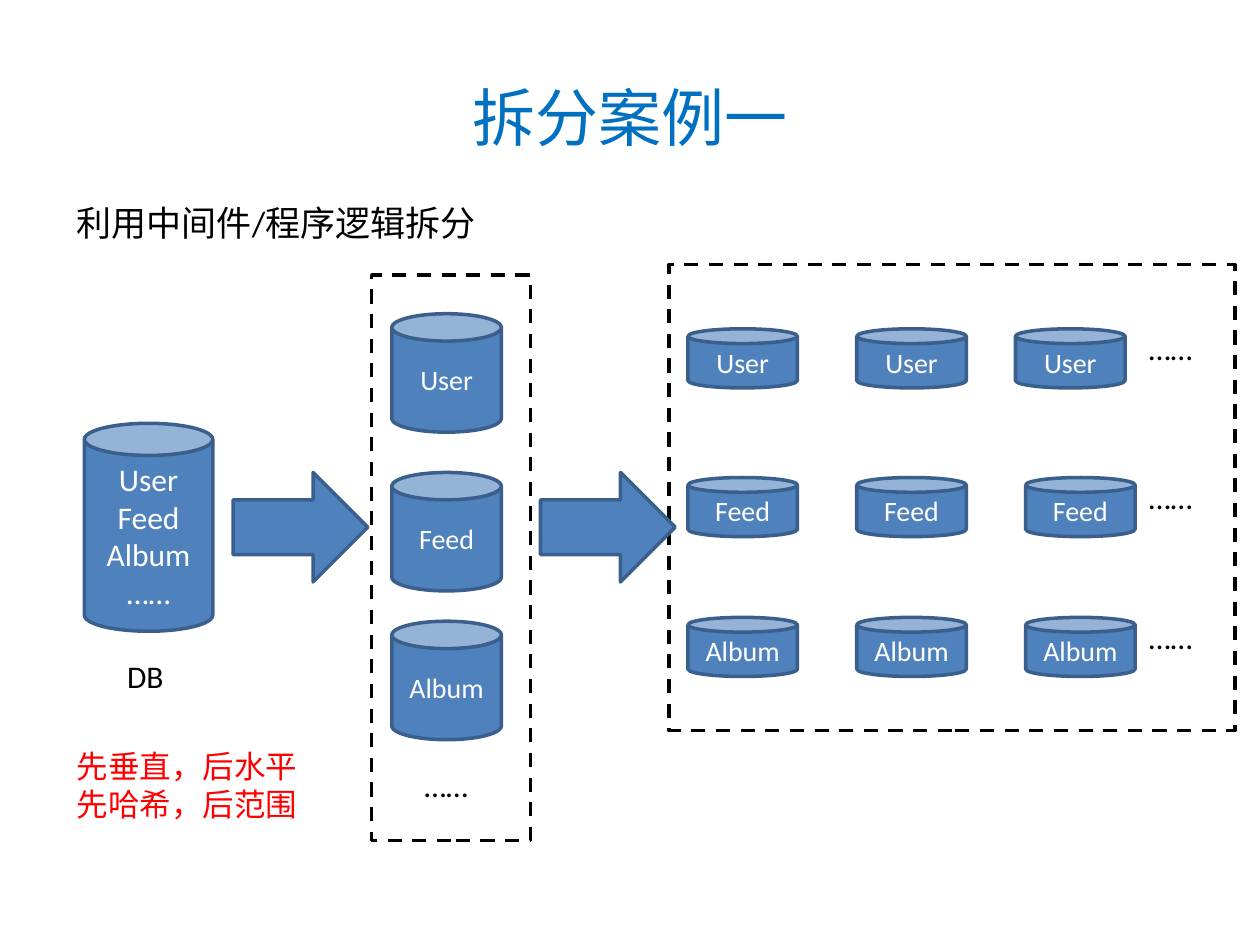
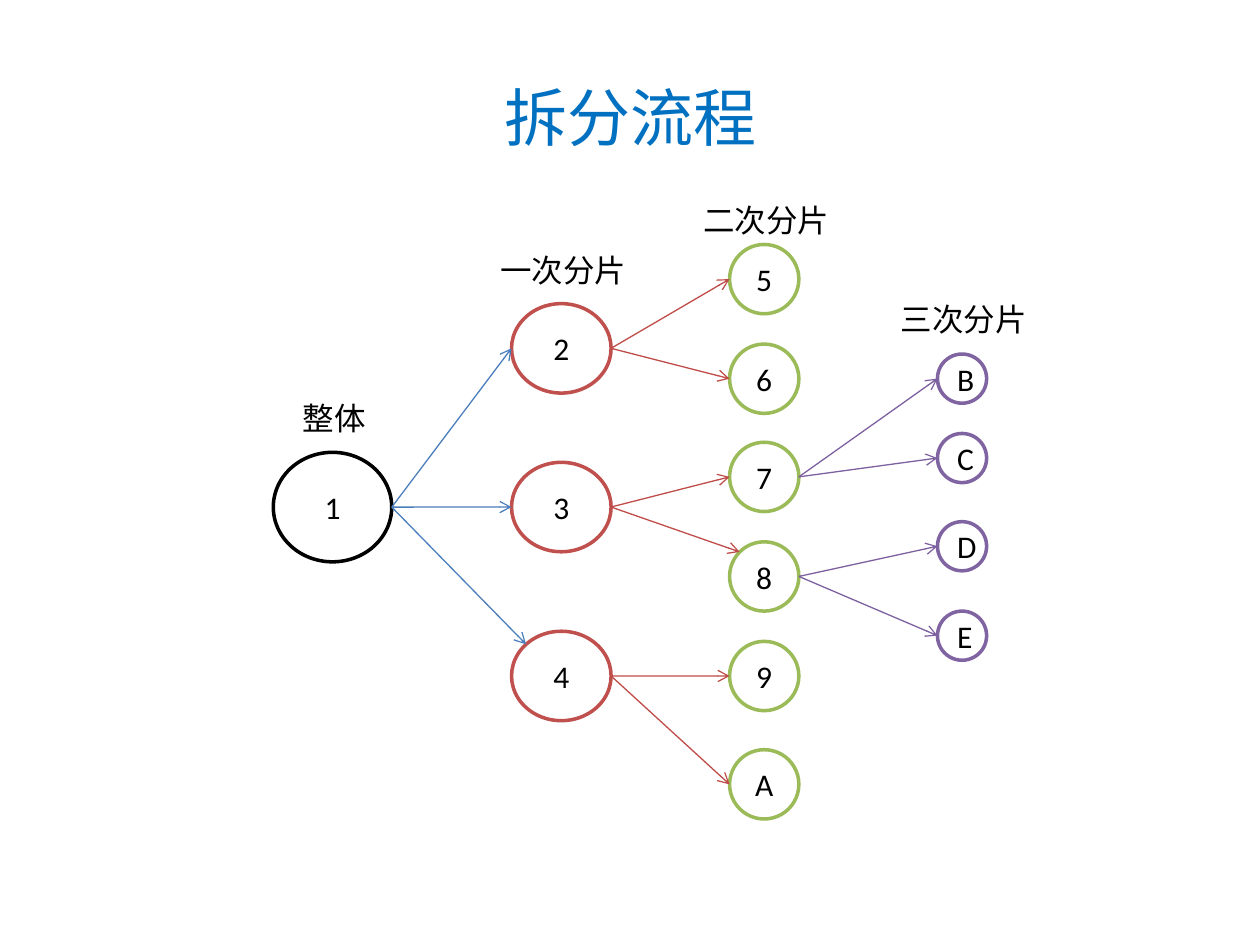
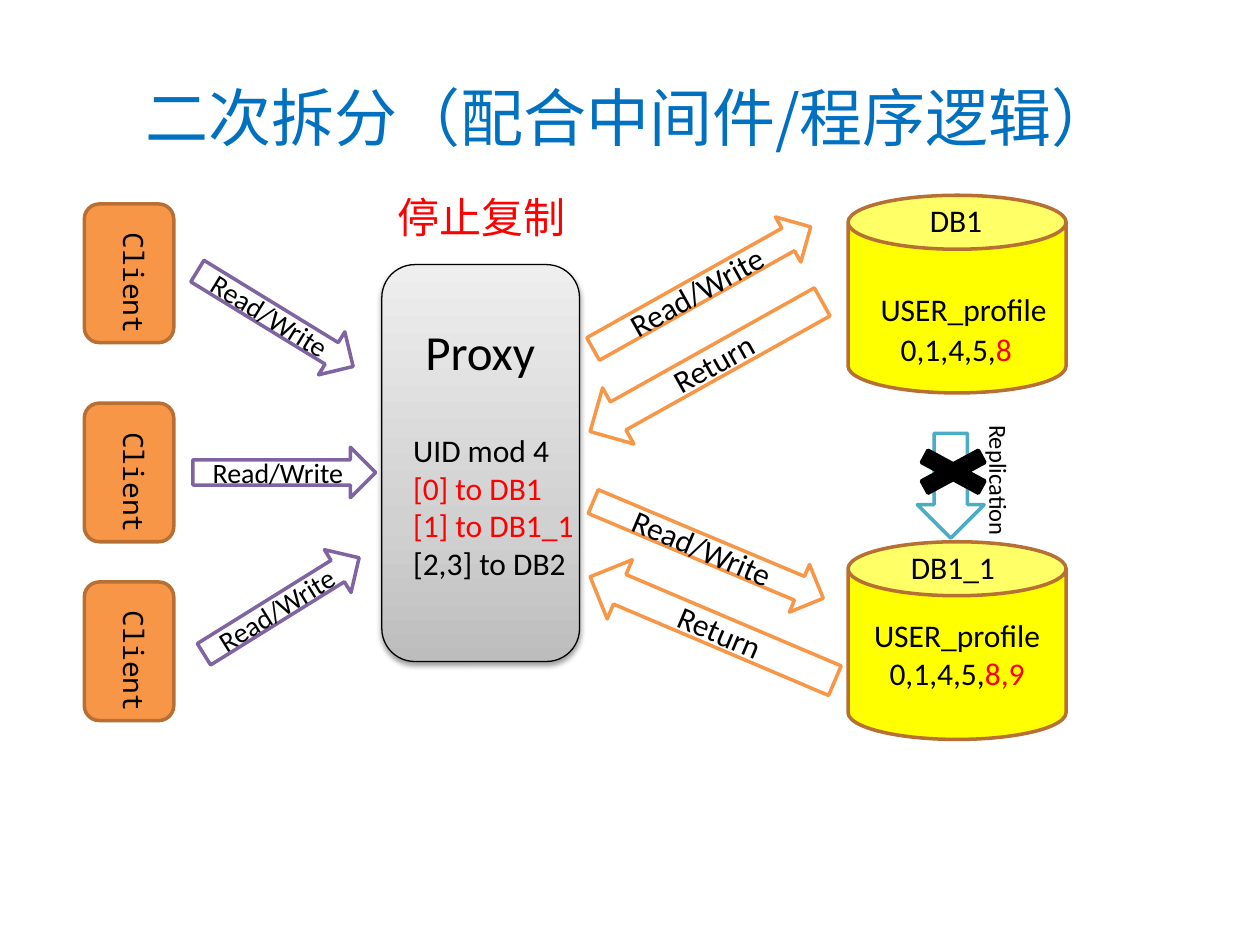
from copy import deepcopy
from dataclasses import dataclass

import pptx
import pptx.dml.color
import pptx.enum.dml
import pptx.enum.shapes
import pptx.enum.text
import pptx.oxml
import pptx.oxml.ns
import pptx.util

Pt = pptx.util.Pt
SHAPE = pptx.enum.shapes.MSO_SHAPE
ALIGN = pptx.enum.text.PP_ALIGN
qn = pptx.oxml.ns.qn


@dataclass(frozen=True)
class Theme:
    font: str = "Calibri"
    cjk: str = "Noto Sans CJK SC"
    mono: str = "Noto Sans Mono"
    title_size: int = 36
    heading: int = 28
    notice: int = 24
    lead: int = 20
    body: int = 18
    small: int = 16
    tiny: int = 14
    outline: float = 2
    hairline: float = 0.75
    title: str = "0070C0"
    black: str = "000000"
    white: str = "FFFFFF"
    red: str = "FF0000"
    blue: str = "4F81BD"
    blue_edge: str = "3A5F8C"
    orange: str = "F79646"
    orange_edge: str = "B76F34"
    yellow: str = "FFFF00"
    aqua: str = "4BACC6"
    purple: str = "8064A2"
    brick: str = "C0504D"
    green: str = "9BBB59"
    blue_link: str = "4B7EBC"
    brick_link: str = "BF4C48"
    purple_link: str = "7D60A0"
    proxy_stops: tuple = ((0, "BDBDBD"), (0.35, "D1D1D1"), (1, "EEEEEE"))


T = Theme()
DOTS = "……"
TABLES = ("User", "Feed", "Album")


def rgb(value):
    return pptx.dml.color.RGBColor.from_string(value)


def points(*values):
    return [Pt(v) for v in values]


def write(tf, lines, size, color=T.black, font=T.font, align=None):
    """Fill tf; a line is a string or a list of (text, colour) runs."""
    for i, line in enumerate(lines):
        p = tf.add_paragraph() if i else tf.paragraphs[0]
        p.alignment = align
        for text, run_color in [(line, color)] if isinstance(line, str) else line:
            r = p.add_run()
            r.text = text
            r.font.size = Pt(size)
            r.font.name = font
            r.font.color.rgb = rgb(run_color)
            ea = pptx.oxml.parse_xml(f'<a:ea {pptx.oxml.ns.nsdecls("a")} typeface="{T.cjk}"/>')
            r.font._element.find(qn("a:latin")).addnext(ea)


def shape(s, kind, box, fill, line, lines=(), size=T.body, color=T.black, rot=0, width=T.outline):
    sp = s.shapes.add_shape(kind, *points(*box))
    sp.shadow.inherit = False
    sp.rotation = rot
    sp.fill.solid()
    sp.fill.fore_color.rgb = rgb(fill)
    sp.line.color.rgb = rgb(line)
    sp.line.width = Pt(width)
    write(sp.text_frame, lines, size, color, align=ALIGN.CENTER)
    return sp


def label(s, box, lines, size=T.body, color=T.black, font=T.font, align=None, wrap=False):
    sp = s.shapes.add_textbox(*points(*box))
    tf = sp.text_frame
    tf.word_wrap = wrap
    tf.auto_size = pptx.enum.text.MSO_AUTO_SIZE.SHAPE_TO_FIT_TEXT
    write(tf, lines, size, color, font, align)
    return sp


def titled_slide(prs, text):
    s = prs.slides.add_slide(prs.slide_layouts[5])
    sp = s.shapes.title
    sp.left, sp.top, sp.width, sp.height = points(36, 21.6, 648, 90)
    write(sp.text_frame, [text], T.title_size, T.title, T.cjk, ALIGN.CENTER)
    return s


# Splitting by table, then by row

def blue_shape(s, kind, box, lines=(), size=T.small):
    shape(s, kind, box, T.blue, T.blue_edge, lines, size, T.white)


def dashed_panel(s, box):
    sp = shape(s, SHAPE.RECTANGLE, box, T.white, T.black)
    sp.line.dash_style = pptx.enum.dml.MSO_LINE.DASH


def vertical_split(s, box):
    x, y, _, _ = box
    dashed_panel(s, box)
    for name, dy in zip(TABLES, (22.3, 113, 198)):
        blue_shape(s, SHAPE.CAN, (x + 11.5, y + dy, 62.6, 67.7), [name])
    label(s, (x + 23, y + 277.2, 40.3, 28.8), [DOTS])


def horizontal_split(s, box):
    x, y, _, _ = box
    dashed_panel(s, box)
    for name, dy, last_dx in zip(TABLES, (36.7, 121.7, 201.6), (198, 203.8, 203.8)):
        for dx in (10.8, 107.3, last_dx):
            blue_shape(s, SHAPE.CAN, (x + dx, y + dy, 62.6, 33.8), [name])
        label(s, (x + 267.1, y + dy - 3.3, 40.3, 28.8), [DOTS])


def split_case_slide(prs):
    s = titled_slide(prs, "拆分案例一")
    horizontal_split(s, (382.3, 151.2, 323.3, 266.4))
    vertical_split(s, (212.4, 157, 90.7, 323.3))
    blue_shape(s, SHAPE.CAN, (48.2, 241.9, 73.4, 118.8), [*TABLES, DOTS], T.body)
    for x in (133.2, 308.9):
        blue_shape(s, SHAPE.RIGHT_ARROW, (x, 270, 77, 62.6))
    label(s, (65.5, 372.2, 35.3, 28.8), ["DB"])
    label(s, (36.7, 111.6, 244.8, 31.7), ["利用中间件/程序逻辑拆分"], T.lead, wrap=True)
    label(s, (36.7, 423.4, 141.8, 51.1), ["先垂直，后水平", "先哈希，后范围"], color=T.red)


# Splitting tree

@dataclass(frozen=True)
class Level:
    heading: str
    heading_y: float
    heading_w: float
    x: float
    w: float
    h: float
    color: str
    nodes: dict


LEVELS = (
    Level("整体", 113, 51.1, 0, 67.7, 62.6, T.black, {"1": 146.9}),
    Level("一次分片", 28.1, 87.1, 136.1, 56.9, 51.1, T.brick,
          {"2": 61.9, "3": 152.6, "4": 249.1}),
    Level("二次分片", 0, 87.1, 260.7, 39.6, 39.6, T.green,
          {"5": 28.1, "6": 85, "7": 141.1, "8": 198, "9": 254.9, "A": 316.8}),
    Level("三次分片", 56.2, 87.1, 379.5, 28.1, 28.1, T.purple,
          {"B": 90.7, "C": 136.1, "D": 186.5, "E": 237.6}),
)
LINKS = (
    (T.blue_link, {"1": "234"}),
    (T.brick_link, {"2": "56", "3": "78", "4": "9A"}),
    (T.purple_link, {"7": "BC", "8": "DE"}),
)
CORNER_ENTRY = "48"  # nodes whose arrow lands on the upper-left of the circle


def arrow_line(s, start, end, color):
    c = s.shapes.add_connector(pptx.enum.shapes.MSO_CONNECTOR.STRAIGHT, *points(*start, *end))
    c.line.color.rgb = rgb(color)
    c.line.width = Pt(T.hairline)
    ns = pptx.oxml.ns.nsdecls("a")
    c.line._get_or_add_ln().append(pptx.oxml.parse_xml(f'<a:tailEnd {ns} type="arrow"/>'))
    c.element.spPr.append(pptx.oxml.parse_xml(f"<a:effectLst {ns}/>"))


def entry_point(name, box):
    x, y, w, h = box
    inset = (1 - 0.5 ** 0.5) / 2
    return (x + w * inset, y + h * inset) if name in CORNER_ENTRY else (x, y + h / 2)


def split_tree(s, left, top):
    boxes = {}
    for lv in LEVELS:
        for name, y in lv.nodes.items():
            boxes[name] = (left + lv.x, top + y, lv.w, lv.h)
            shape(s, SHAPE.OVAL, boxes[name], T.white, lv.color, [name])
    for color, children in LINKS:
        for parent, names in children.items():
            x, y, w, h = boxes[parent]
            for name in names:
                arrow_line(s, (x + w, y + h / 2), entry_point(name, boxes[name]), color)
    for lv in LEVELS:
        x = left + lv.x + (lv.w - lv.heading_w) / 2 + 1.5
        label(s, (x, top + lv.heading_y, lv.heading_w, 28.8), [lv.heading])


def split_flow_slide(prs):
    s = titled_slide(prs, "拆分流程")
    split_tree(s, 156.2, 111.6)


# Second split through the proxy

def proxy(s, box):
    x, y, _, _ = box
    sp = shape(s, SHAPE.ROUNDED_RECTANGLE, box, T.white, T.black, width=T.hairline)
    sp.fill.gradient()
    sp.fill.gradient_angle = 90
    stops = sp.element.spPr.find(".//" + qn("a:gsLst"))
    stops.append(deepcopy(stops[0]))
    for stop, (position, color) in zip(sp.fill.gradient_stops, T.proxy_stops):
        stop.position = position
        stop.color.rgb = rgb(color)
    sp.element.spPr.find(qn("a:effectLst")).append(pptx.oxml.parse_xml(
        f'<a:outerShdw {pptx.oxml.ns.nsdecls("a")} blurRad="{Pt(3.1)}" dist="{Pt(1.6)}"'
        f' dir="5400000" rotWithShape="0"><a:srgbClr val="{T.black}">'
        '<a:alpha val="38000"/></a:srgbClr></a:outerShdw>'))
    label(s, (x + 17.3, y + 28.8, 77.8, 44.6), ["Proxy"], T.heading, align=ALIGN.CENTER)
    label(s, (x + 10.8, y + 91.4, 107.3, 94.3),
          ["UID mod 4", [("[0] to DB1", T.red)], [("[1] to DB1_1", T.red)], "[2,3] to DB2"])


def client(s, x, y):
    shape(s, SHAPE.ROUNDED_RECTANGLE, (x, y, 51.1, 79.2), T.orange, T.orange_edge)
    sp = label(s, (x + 7.9, y + 9.4, 33.8, 54), ["Client"], T.small, font=T.mono)
    sp.text_frame._txBody.bodyPr.set("vert", "eaVert")


def exchange(s, x, y, write_rot, return_rot):
    """Arrow to a database and the arrow back below it."""
    shape(s, SHAPE.RIGHT_ARROW, (x, y, 142.6, 29.5), T.white, T.orange,
          ["Read/Write"], rot=write_rot)
    back = shape(s, SHAPE.RIGHT_ARROW, (x - 2.2, y + 41.4, 151.9, 36.7), T.white, T.orange,
                 ["Return"], rot=return_rot)
    back.element.spPr.get_or_add_xfrm().set("flipV", "1")


def database(s, box, name, name_dx, name_w, lines=()):
    x, y, _, _ = box
    sp = shape(s, SHAPE.CAN, box, T.yellow, T.orange_edge, lines)
    sp.adjustments[0] = 0.273
    label(s, (x + name_dx, y, name_w, 28.8), [name])


def stopped_replication(s, x, y):
    shape(s, SHAPE.DOWN_ARROW, (x, y, 38.2, 59.8), T.white, T.aqua)
    label(s, (x + 7.2, y + 15.1, 78.5, 24.5), ["Replication"], T.tiny).rotation = 90
    shape(s, SHAPE.MATH_MULTIPLY, (x - 10.8, y + 5, 62.6, 33.8), T.black, T.black)


def second_split_slide(prs):
    s = titled_slide(prs, "二次拆分（配合中间件/程序逻辑）")
    proxy(s, (218.2, 151.2, 113, 226.8))
    label(s, (220.3, 105.8, 111.6, 36), ["停止复制"], T.notice, T.red)
    for y in (116.6, 230.4, 332.6):
        client(s, 48.2, y)
    for x, y, rot in ((105.1, 167.8, 31.5), (110.2, 255.6, 0), (108.7, 331.9, 328.1)):
        shape(s, SHAPE.RIGHT_ARROW, (x, y, 104.4, 28.8), T.white, T.purple,
              ["Read/Write"], T.small, rot=rot)
    exchange(s, 329.8, 149.8, 330.7, 150.8)
    exchange(s, 333.4, 299.5, 22.8, 203)

    x, y, w, h = 484.6, 111.6, 124.6, 113
    ids = ("0,1,4,5,", T.black)
    database(s, (x, y, w, h), "DB1", 39.6, 44.6)
    label(s, (x + 11.5, y + 50.4, 110.2, 28.8), ["USER_profile"])
    label(s, (x + 23, y + 73.4, 102.2, 28.8), [[ids, ("8", T.red)]], wrap=True)
    database(s, (x, y + 198, w, h), "DB1_1", 28.8, 63.4,
             ["USER_profile", [ids, ("8,9", T.red)]])
    stopped_replication(s, 524.2, 247.7)


def main():
    prs = pptx.Presentation()
    prs.slide_width, prs.slide_height = points(720, 540)
    split_case_slide(prs)
    split_flow_slide(prs)
    second_split_slide(prs)
    prs.save("out.pptx")


if __name__ == "__main__":
    main()
